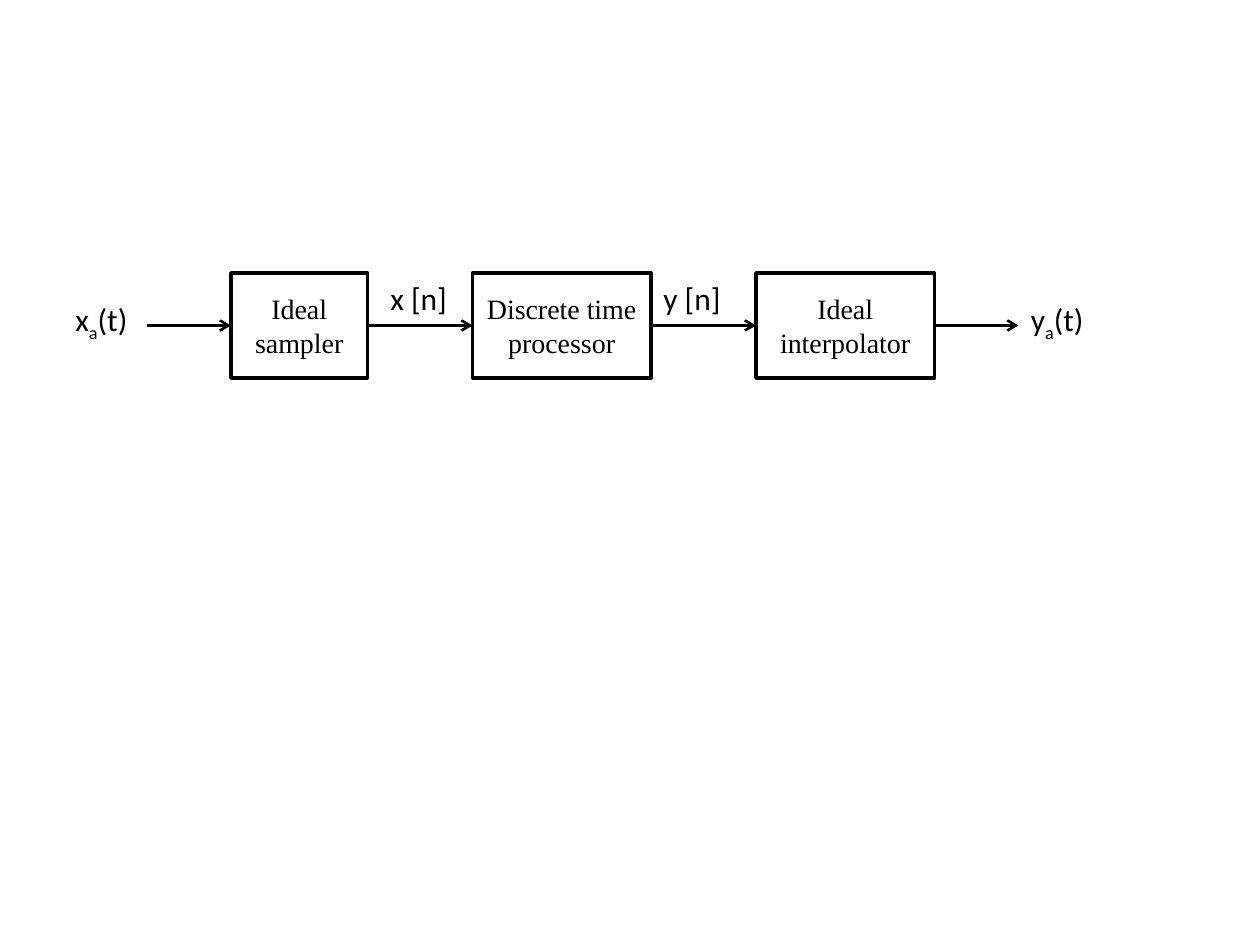
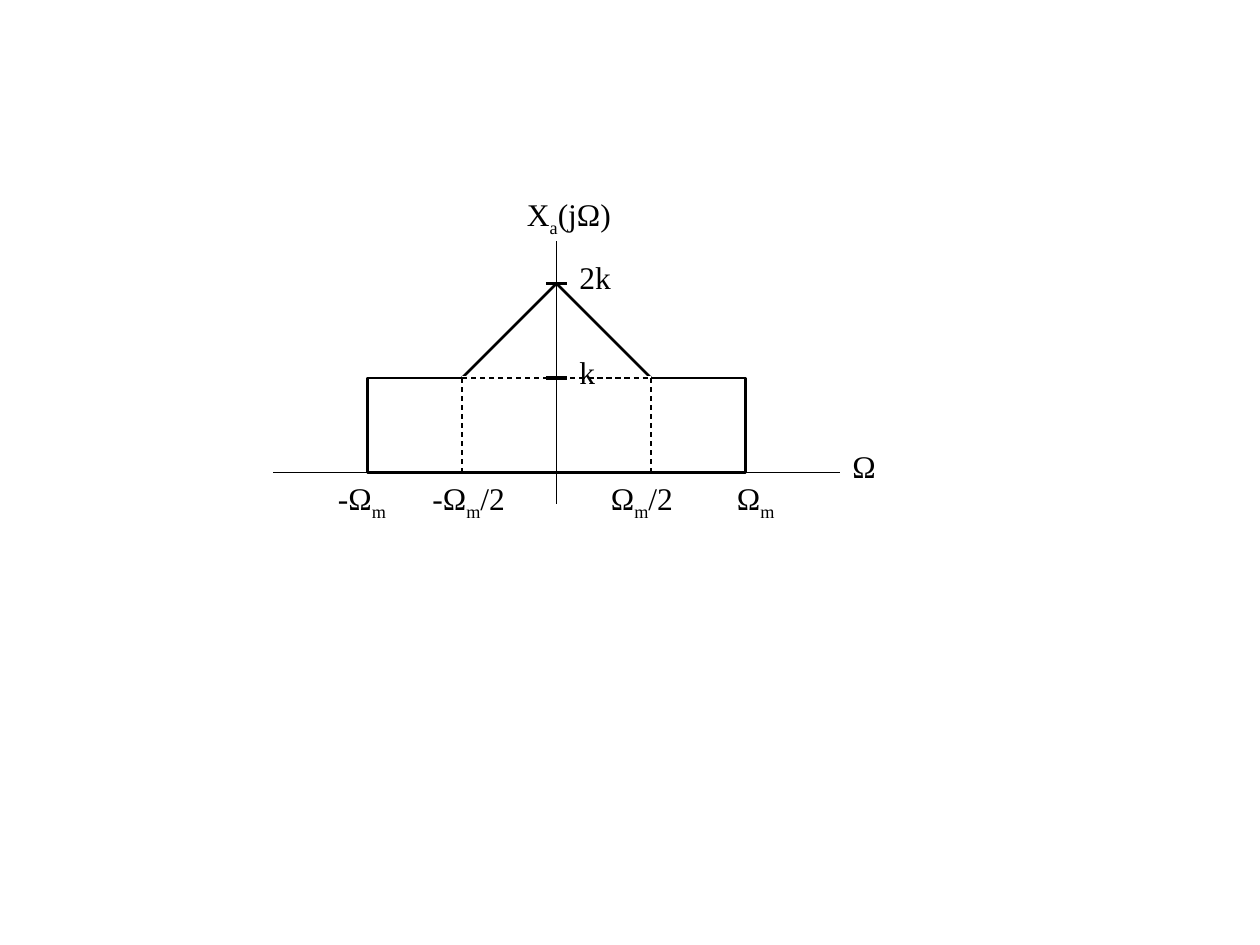
from dataclasses import dataclass

from pptx import Presentation
from pptx.dml.color import RGBColor
from pptx.enum.dml import MSO_LINE
from pptx.enum.shapes import MSO_CONNECTOR, MSO_SHAPE
from pptx.enum.text import MSO_ANCHOR, MSO_AUTO_SIZE, PP_ALIGN
from pptx.util import Pt
from lxml.etree import SubElement
from pptx.oxml.ns import qn

EMU_PER_PX = 9525  # 96 px to the inch
TOP, LEFT, BOTTOM, RIGHT = range(4)  # connection sites of a rectangle


@dataclass(frozen=True)
class Theme:
    ink: RGBColor = RGBColor(0, 0, 0)
    paper: RGBColor = RGBColor(255, 255, 255)
    serif: str = "Times New Roman"
    sans: str = "Calibri"
    block_size: int = 16
    label_size: int = 18
    thin: float = 0.75
    medium: float = 1.5
    block_line: float = 2
    thick: float = 2.25
    subscript: str = "-25000"


THEME = Theme()


def px(*lengths):
    return [round(length * EMU_PER_PX) for length in lengths]


def style_text(paragraph, font_name, size):
    paragraph.font.name = font_name
    paragraph.font.size = Pt(size)
    paragraph.font.color.rgb = THEME.ink


def add_outline(shapes, kind, box, weight, fill=None):
    outline = shapes.add_shape(kind, *px(*box))
    outline.shadow.inherit = False
    if fill is None:
        outline.fill.background()
    else:
        outline.fill.solid()
        outline.fill.fore_color.rgb = fill
    outline.line.color.rgb = THEME.ink
    outline.line.width = Pt(weight)
    return outline


def add_line(shapes, start, end, weight, color=THEME.ink, dash=None, arrow=False):
    line = shapes.add_connector(MSO_CONNECTOR.STRAIGHT, *px(*start, *end))
    line.line.color.rgb = color
    line.line.width = Pt(weight)
    if dash is not None:
        line.line.dash_style = dash
    if arrow:
        SubElement(line.line._get_or_add_ln(), qn("a:tailEnd"), type="arrow")
    SubElement(line._element.spPr, qn("a:effectLst"))
    return line


def add_label(shapes, parts, box, font_name):
    """Write the parts in turn; every second one is a subscript."""
    label = shapes.add_textbox(*px(*box)).text_frame
    label.word_wrap = False
    label.auto_size = MSO_AUTO_SIZE.SHAPE_TO_FIT_TEXT
    paragraph = label.paragraphs[0]
    style_text(paragraph, font_name, THEME.label_size)
    for index, part in enumerate(parts):
        run = paragraph.add_run()
        run.text = part
        if index % 2:
            run._r.get_or_add_rPr().set("baseline", THEME.subscript)


def add_block(shapes, caption, box):
    block = add_outline(shapes, MSO_SHAPE.RECTANGLE, box, THEME.block_line)
    block.text_frame.word_wrap = True
    block.text_frame.vertical_anchor = MSO_ANCHOR.MIDDLE
    paragraph = block.text_frame.paragraphs[0]
    paragraph.text = caption
    paragraph.alignment = PP_ALIGN.CENTER
    style_text(paragraph, THEME.serif, THEME.block_size)
    return block


def draw_processing_chain(slide, left, top):
    """Three blocks in a row, from analogue input to analogue output."""
    shapes = slide.shapes.add_group_shape().shapes
    height, gap, end_arrow = 80, 80, 64
    middle = top + height // 2

    # Blocks
    blocks = []
    x = first_left = left + 128
    for caption, width in (("Ideal sampler", 104),
                           ("Discrete time processor", 136),
                           ("Ideal interpolator", 136)):
        blocks.append(add_block(shapes, caption, (x, top, width, height)))
        x += width + gap
    last_right = x - gap

    # Arrows: into the chain, between blocks, out of the chain
    outside_in = (first_left - end_arrow, middle)
    outside_out = (last_right + end_arrow, middle)
    for source, target in zip([None] + blocks, blocks + [None]):
        arrow = add_line(shapes, outside_in, outside_out, THEME.medium, arrow=True)
        if source is not None:
            arrow.begin_connect(source, RIGHT)
        if target is not None:
            arrow.end_connect(target, LEFT)

    # Signal names, those between blocks wide enough to stay on one line
    for parts, dx, dy, width in ((("x", "a", "(t)"), 0, 16, 60),
                                 (("x [n]",), 240, 0, 70),
                                 (("y [n]",), 448, 0, 70),
                                 (("y", "a", "(t)"), 728, 16, 60)):
        add_label(shapes, parts, (left + dx, top + dy, width, 38), THEME.sans)


def draw_spectrum(slide, left, top):
    """A triangle on a pedestal, over the frequency axis."""
    shapes = slide.shapes.add_group_shape().shapes
    unit = 72  # both half the band limit and the level k
    center, base = left + 216, top + 216
    level_k, level_2k = base - unit, base - 2 * unit
    half_left, half_right = center - unit, center + unit

    # Outline and axes; a paper-coloured line opens the triangle's base
    add_outline(shapes, MSO_SHAPE.RECTANGLE,
                (center - 2 * unit, level_k, 4 * unit, unit), THEME.medium, THEME.paper)
    add_line(shapes, (center + 3 * unit, base), (center - 3 * unit, base), THEME.thin)
    add_outline(shapes, MSO_SHAPE.ISOSCELES_TRIANGLE,
                (half_left, level_2k, 2 * unit, unit), THEME.medium, THEME.paper)
    add_line(shapes, (half_left, level_k), (half_right, level_k), THEME.thick, THEME.paper)
    add_line(shapes, (center, top + 40), (center, base + 24), THEME.thin)

    # Dashed guides
    for start, end in (((half_left, level_k), (half_left, base)),
                       ((half_right, level_k), (half_right, base)),
                       ((half_left, level_k), (half_right, level_k))):
        add_line(shapes, start, end, THEME.thin, dash=MSO_LINE.DASH)

    # Ticks
    for level in (level_k, level_2k):
        add_line(shapes, (center - 8, level), (center + 8, level), THEME.thick)

    # Labels, placed from the origin of the axes
    for parts, dx, dy, width in ((("X", "a", "(jΩ)"), -32, -216, 85),
                                 (("2k",), 8, -168, 43),
                                 (("k",), 8, -96, 32),
                                 (("Ω",), 216, -24, 37),
                                 (("-Ω", "m"), -176, 0, 59),
                                 (("-Ω", "m", "/2"), -104, 0, 77),
                                 (("Ω", "m", "/2"), 32, 0, 69),
                                 (("Ω", "m"), 128, 0, 50)):
        add_label(shapes, parts, (center + dx, base + dy, width, 38), THEME.serif)


def main():
    deck = Presentation()
    deck.slide_width, deck.slide_height = px(960, 720)
    blank = deck.slide_layouts[6]
    draw_processing_chain(deck.slides.add_slide(blank), 48, 208)
    draw_spectrum(deck.slides.add_slide(blank), 208, 144)
    deck.save("out.pptx")


if __name__ == "__main__":
    main()
